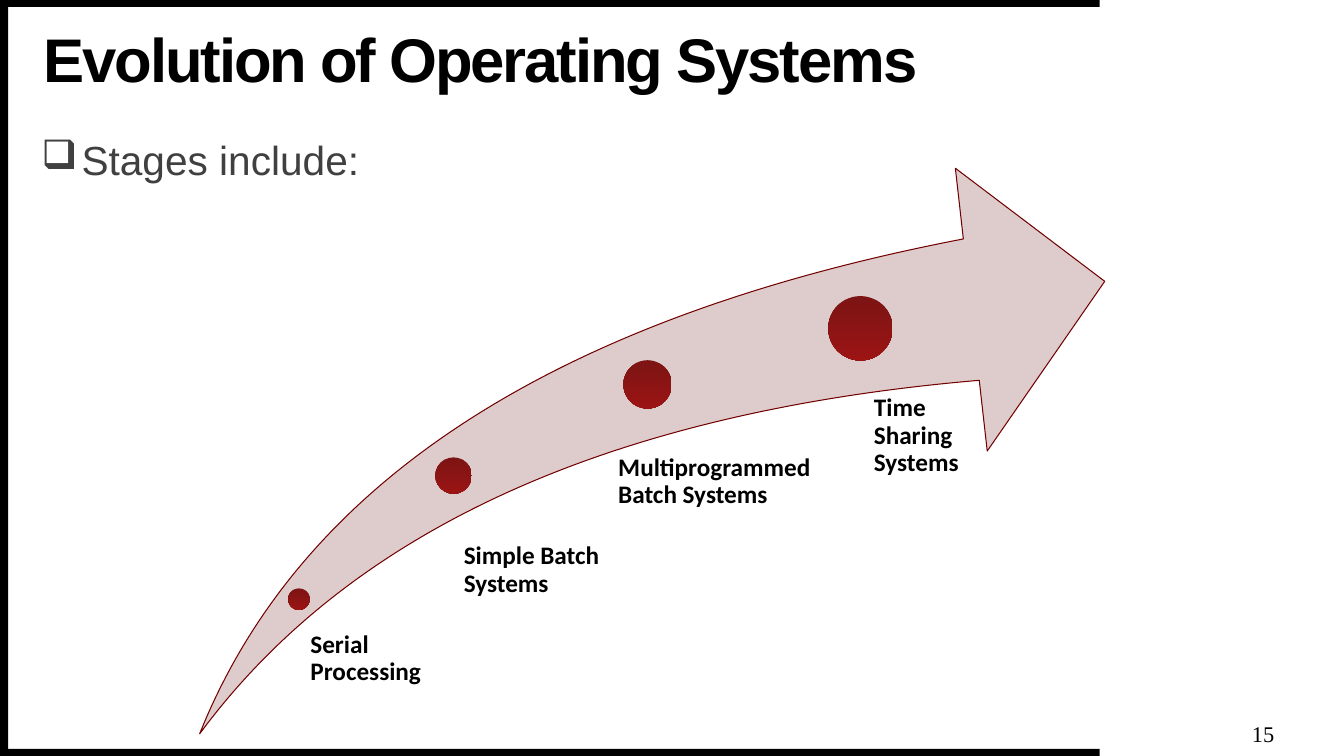
"""Build the slide on the evolution of operating systems."""
import pptx
import pptx.dml.color
import pptx.enum.shapes
import pptx.enum.text
import pptx.oxml
import pptx.oxml.ns
import pptx.util

Pt = pptx.util.Pt
SHAPE = pptx.enum.shapes.MSO_SHAPE
ALIGN = pptx.enum.text.PP_ALIGN
ANCHOR = pptx.enum.text.MSO_ANCHOR


def colour(code):
    return pptx.dml.color.RGBColor.from_string(code)


class StageSlide:
    heading_font = "Arial"
    label_font = "Calibri"
    ink = "000000"
    dot_colours = ("720000", "950000")
    dot_opacity = 90

    def __init__(self, slide):
        self.slide = slide

    def shape(self, kind, left, top, width, height):
        item = self.slide.shapes.add_shape(
            kind, Pt(left), Pt(top), Pt(width), Pt(height))
        item.shadow.inherit = False
        item.line.fill.background()
        return item

    def bar(self, left, top, width, height):
        border = self.shape(SHAPE.RECTANGLE, left, top, width, height)
        border.fill.solid()
        border.fill.fore_color.rgb = colour(self.ink)

    def swoosh(self, left, top, width, height):
        arrow = self.shape(SHAPE.SWOOSH_ARROW, left, top, width, height)
        arrow.adjustments[0] = 0.25
        arrow.adjustments[1] = 0.25
        arrow.fill.solid()
        arrow.fill.fore_color.rgb = colour("DECCCC")
        arrow.line.color.rgb = colour("730000")
        arrow.line.width = Pt(0.75)

    def dot(self, left, top, size):
        marker = self.shape(SHAPE.OVAL, left, top, size, size)
        marker.fill.gradient()
        marker.fill.gradient_angle = 270
        stops = marker.fill.gradient_stops
        for stop, position, code in zip(stops, (0, 1), self.dot_colours):
            stop.position = position
            stop.color.rgb = colour(code)
        fill = marker._element.spPr.find(pptx.oxml.ns.qn("a:gradFill"))
        for shade in fill.iter(pptx.oxml.ns.qn("a:srgbClr")):
            alpha = pptx.oxml.parse_xml(
                f'<a:alpha {pptx.oxml.ns.nsdecls("a")} val="{self.dot_opacity * 1000}"/>')
            shade.append(alpha)

    def text(self, words, left, top, width, height, *, size, font=None,
             code=None, bold=False, align=ALIGN.LEFT, anchor=ANCHOR.TOP,
             inset=0, line_spacing=0.9, space_before=0, tracking=0,
             bullet=None, hanging=0):
        box = self.slide.shapes.add_textbox(
            Pt(left), Pt(top), Pt(width), Pt(height))
        frame = box.text_frame
        frame.word_wrap = True
        frame.vertical_anchor = anchor
        frame.margin_left = Pt(inset)
        frame.margin_top = frame.margin_right = frame.margin_bottom = 0
        paragraph = frame.paragraphs[0]
        paragraph.alignment = align
        paragraph.line_spacing = line_spacing
        paragraph.space_before = Pt(space_before)
        run = paragraph.add_run()
        run.text = words
        run.font.name = font or self.heading_font
        run.font.size = Pt(size)
        run.font.bold = bold
        run.font.color.rgb = colour(code or self.ink)
        if tracking:
            run._r.get_or_add_rPr().set("spc", str(round(tracking * 100)))
        if bullet:
            properties = paragraph._p.get_or_add_pPr()
            properties.set("marL", str(Pt(hanging)))
            properties.set("indent", str(-Pt(hanging)))
            properties.append(pptx.oxml.parse_xml(
                f'<a:buChar {pptx.oxml.ns.nsdecls("a")} char="{bullet}"/>'))


def main():
    deck = pptx.Presentation()
    deck.slide_width, deck.slide_height = Pt(960), Pt(540)
    page = StageSlide(deck.slides.add_slide(deck.slide_layouts[6]))

    for border in ((0, 535, 785.5, 5), (0, 0, 785.5, 5), (0, 2.5, 5.8, 537.5)):
        page.bar(*border)

    page.text("Stages include:", 29.5, 100, 842.5, 37.5, size=29,
              code="404040", space_before=10, bullet="❑", hanging=28.8)
    page.text("Evolution of Operating Systems", 31, 18, 773, 53.5, size=44,
              bold=True, anchor=ANCHOR.MIDDLE, tracking=-1.5)
    page.text("15", 891.5, 513.5, 21.5, 21.5, size=16, font="Times New Roman",
              align=ALIGN.CENTER, anchor=ANCHOR.MIDDLE, line_spacing=1)

    page.swoosh(142.6, 120.2, 646.5, 404)
    stages = (
        ("Serial Processing", (205.8, 420.3, 15.4), (213.8, 451.4, 110.9, 49), 8),
        ("Simple Batch Systems", (311, 326.7, 26), (317.5, 388, 136, 73.5), 13.8),
        ("Multiprogrammed Batch Systems", (445.3, 257.3, 34.5),
         (423.4, 324.8, 195, 65), 18.2),
        ("Time Sharing Systems", (591.6, 211.5, 46), (599.8, 282.2, 118, 92), 24.4),
    )
    for stage, dot, label, inset in stages:
        page.dot(*dot)
        page.text(stage, *label, size=18, font=page.label_font, bold=True,
                  inset=inset)

    deck.save("out.pptx")


if __name__ == "__main__":
    main()
